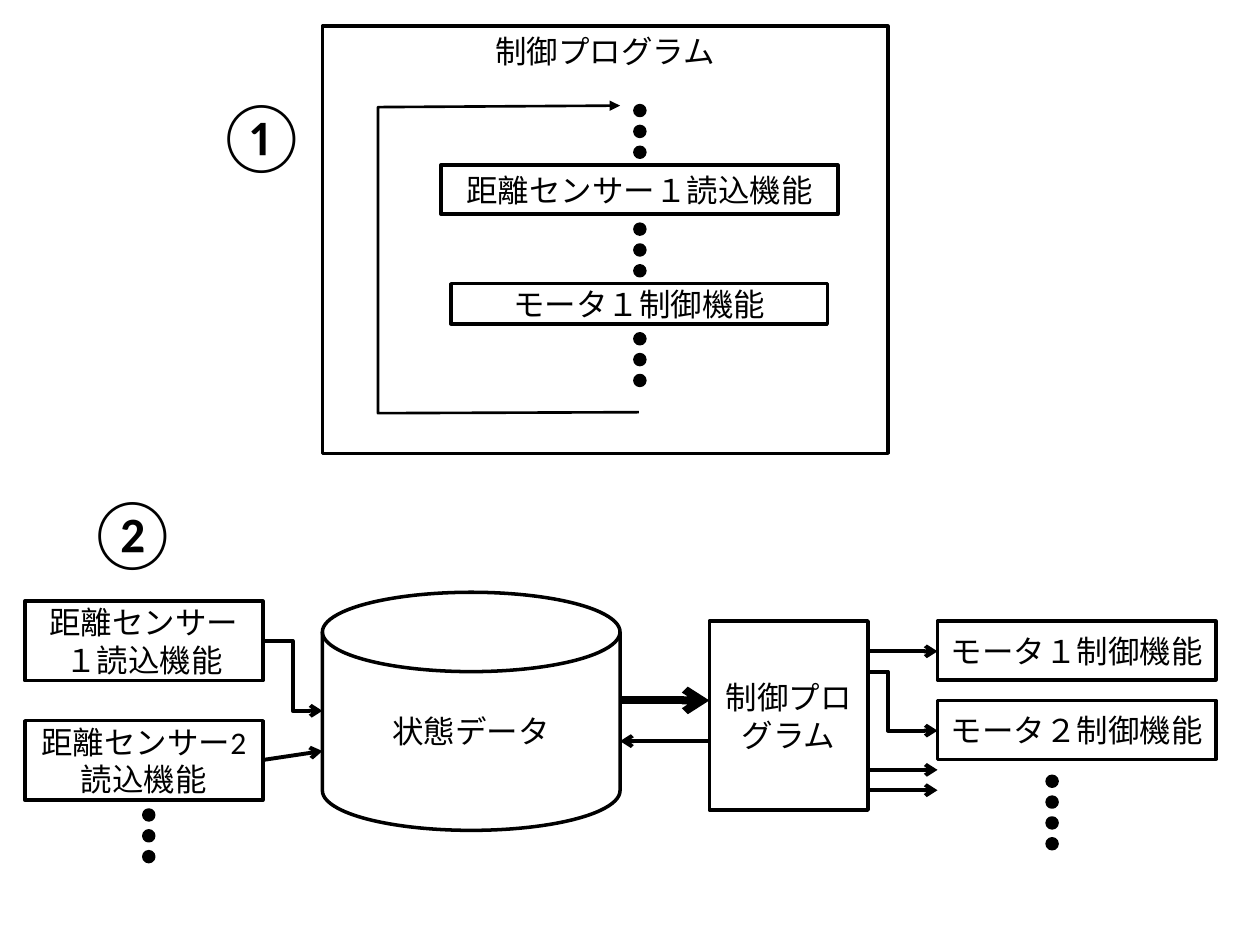
from pptx import Presentation
from pptx import util as u
from pptx.dml import color
from pptx.enum import shapes, text
from pptx.oxml import parse_xml
from pptx.oxml.ns import nsdecls

BLACK, WHITE = "000000", "FFFFFF"
FONT = "Calibri"
DOT_SIZE, DOT_PITCH = 0.2, 0.42

RECT = shapes.MSO_SHAPE.RECTANGLE
DISK = shapes.MSO_SHAPE.FLOWCHART_MAGNETIC_DISK
STRAIGHT = shapes.MSO_CONNECTOR.STRAIGHT
ELBOW = shapes.MSO_CONNECTOR.ELBOW
MIDDLE, TOP = text.MSO_ANCHOR.MIDDLE, text.MSO_ANCHOR.TOP

device_boxes = [
    ("距離センサー１読込機能", RECT, 0.5, 12.12, 4.8, 1.6, MIDDLE),
    ("距離センサー2読込機能", RECT, 0.5, 14.53, 4.8, 1.6, MIDDLE),
    ("モータ１制御機能", RECT, 18.9, 12.52, 5.61, 1.19, MIDDLE),
    ("モータ２制御機能", RECT, 18.9, 14.12, 5.61, 1.19, MIDDLE),
]
arrows = [
    (ELBOW, 5.3, 12.92, 6.5, 14.33, 2.25),
    (STRAIGHT, 5.3, 15.32, 6.5, 15.14, 2.25),
    (STRAIGHT, 12.3, 14.12, 14.3, 14.12, 4.5),
    (STRAIGHT, 14.3, 14.94, 12.5, 14.94, 2.25),
    (STRAIGHT, 16.9, 13.13, 18.9, 13.13, 2.25),
    (STRAIGHT, 16.9, 15.52, 18.9, 15.52, 2.25),
    (STRAIGHT, 16.9, 15.93, 18.9, 15.93, 2.25),
    (ELBOW, 16.9, 13.54, 18.9, 14.73, 2.25),
]
program_boxes = [
    ("制御プログラム", RECT, 14.3, 12.52, 3.2, 3.81, MIDDLE),
    ("状態データ", DISK, 6.5, 11.94, 6, 4.8, MIDDLE),
    ("制御プログラム", RECT, 6.5, 0.53, 11.4, 8.61, TOP),
    ("距離センサー１読込機能", RECT, 8.89, 3.33, 8, 0.99, MIDDLE),
    ("モータ１制御機能", RECT, 9.09, 5.72, 7.59, 0.81, MIDDLE),
]
dot_columns = [
    (2.9, 16.33, 3),
    (21.11, 15.65, 4),
    (12.8, 2.13, 3),
    (12.8, 4.52, 3),
    (12.8, 6.73, 3),
]
loop_points = [(12.88, 8.31), (7.62, 8.33), (7.62, 2.16), (12.5, 2.13)]
numbers = [("①", 4.09, 1.73), ("②", 1.5, 9.73)]

presentation = Presentation()
presentation.slide_width, presentation.slide_height = u.Cm(25.4), u.Cm(19.05)
slide = presentation.slides.add_slide(presentation.slide_layouts[6])


def rgb(value):
    return color.RGBColor.from_string(value)


def set_line(shape, width):
    shape.line.color.rgb = rgb(BLACK)
    shape.line.width = u.Pt(width)


def add_arrowhead(shape, kind):
    shape.line._get_or_add_ln().append(
        parse_xml(f'<a:tailEnd {nsdecls("a")} type="{kind}"/>'))


def add_run(paragraph, content, size):
    run = paragraph.add_run()
    run.text = content
    run.font.size = u.Pt(size)
    run.font.name = FONT
    run.font.color.rgb = rgb(BLACK)


def add_filled(kind, left, top, width, height, fill):
    shape = slide.shapes.add_shape(kind, *map(u.Cm, (left, top, width, height)))
    shape.shadow.inherit = False
    shape.fill.solid()
    shape.fill.fore_color.rgb = rgb(fill)
    set_line(shape, 2)
    return shape


def add_box(label, kind, left, top, width, height, anchor):
    shape = add_filled(kind, left, top, width, height, WHITE)
    frame = shape.text_frame
    frame.word_wrap = True
    frame.vertical_anchor = anchor
    paragraph = frame.paragraphs[0]
    paragraph.alignment = text.PP_ALIGN.CENTER
    add_run(paragraph, label, 18)


def add_arrow(kind, x1, y1, x2, y2, width):
    connector = slide.shapes.add_connector(kind, *map(u.Cm, (x1, y1, x2, y2)))
    set_line(connector, width)
    add_arrowhead(connector, "arrow")
    connector._element.spPr.append(parse_xml(f'<a:effectLst {nsdecls("a")}/>'))


def add_loop(points):
    start, *rest = [(u.Cm(x), u.Cm(y)) for x, y in points]
    builder = slide.shapes.build_freeform(*start)
    builder.add_line_segments(rest, close=False)
    loop = builder.convert_to_shape()
    loop.shadow.inherit = False
    loop.fill.background()
    set_line(loop, 1.5)
    add_arrowhead(loop, "triangle")


def add_number(label, left, top):
    box = slide.shapes.add_textbox(*map(u.Cm, (left, top, 1.93, 1.96)))
    box.text_frame.word_wrap = False
    box.text_frame.auto_size = text.MSO_AUTO_SIZE.SHAPE_TO_FIT_TEXT
    add_run(box.text_frame.paragraphs[0], label, 40)


for box in device_boxes:
    add_box(*box)
for arrow in arrows:
    add_arrow(*arrow)
for box in program_boxes:
    add_box(*box)
for left, top, count in dot_columns:
    for index in range(count):
        add_filled(shapes.MSO_SHAPE.OVAL, left, top + index * DOT_PITCH,
                   DOT_SIZE, DOT_SIZE, BLACK)
add_loop(loop_points)
for number in numbers:
    add_number(*number)

presentation.save("out.pptx")
